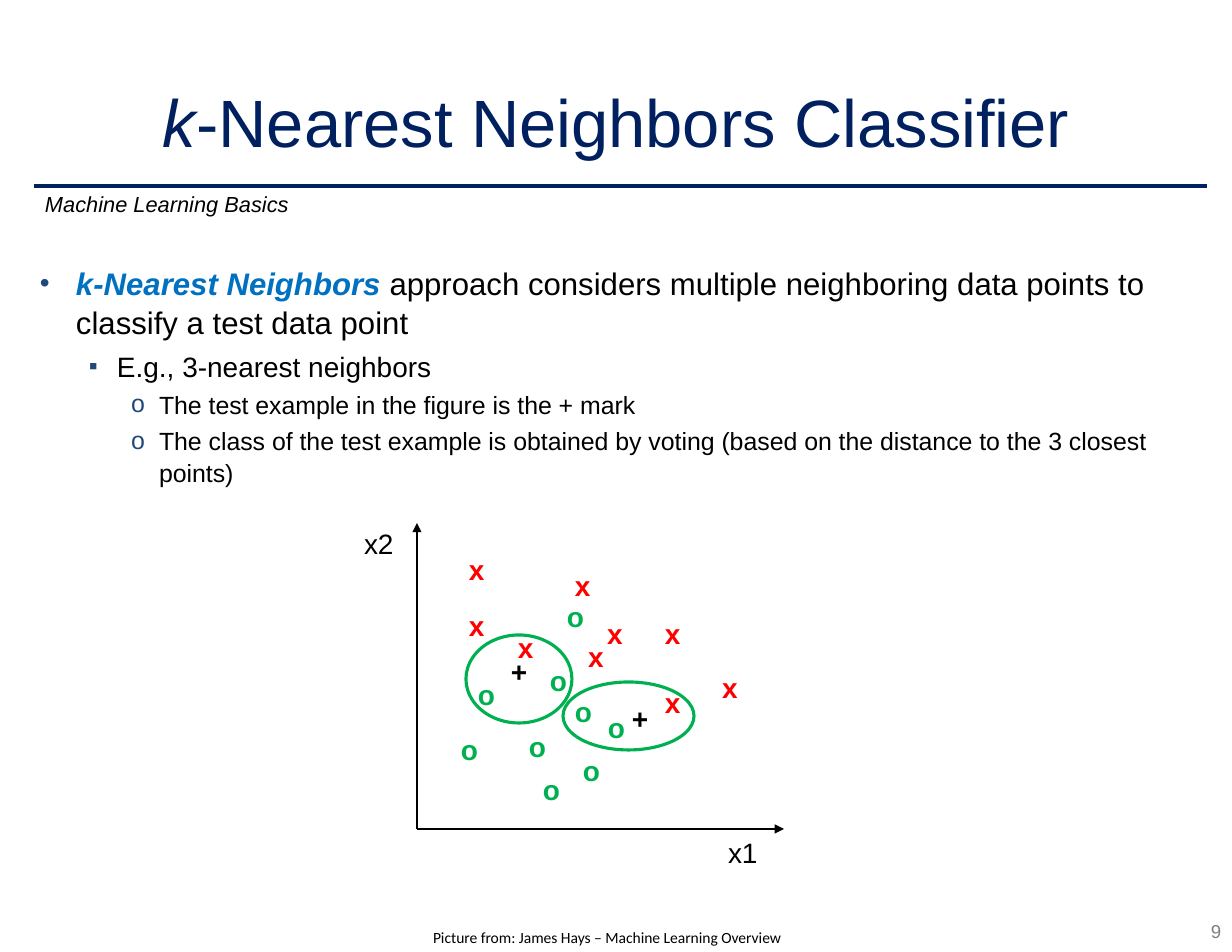
from typing import NamedTuple

from lxml.etree import SubElement
from pptx import Presentation
from pptx.dml.color import RGBColor
from pptx.enum.shapes import MSO_CONNECTOR as Conn, MSO_SHAPE as Shape
from pptx.enum.text import MSO_ANCHOR as Anchor, PP_ALIGN as Align
from pptx.oxml.ns import qn
from pptx.util import Emu, Pt

EMU_PER_PX = 914400 / 112
NAVY, RED, GREEN, BLUE, BLACK = "002060", "FF0000", "00B050", "0070C0", "000000"


class Box(NamedTuple):
    """A rectangle in px."""
    x: int
    y: int
    w: int
    h: int


class Mark(NamedTuple):
    """One class of data points, with the centres of its marks in px."""
    symbol: str
    color: str
    width: int
    centers: list[tuple[int, int]]


class Level(NamedTuple):
    """Format of one bullet level, with indents in px."""
    bullet: str
    bullet_pct: int
    left: int
    hang: int
    size: int
    before: int


MARKS = [
    Mark("x", RED, 28, [(615, 631), (673, 631), (673, 701), (730, 685), (477, 568),
                        (477, 623), (583, 584), (526, 646), (596, 655)]),
    Mark("o", GREEN, 30, [(576, 615), (617, 725), (470, 748), (487, 693), (552, 787),
                          (584, 709), (559, 678), (538, 745), (592, 768)]),
    Mark("+", BLACK, 29, [(519, 670), (640, 717)]),
]
NEIGHBORHOODS = [Box(466, 635, 106, 88), Box(563, 682, 131, 68)]
LEVELS = [Level("•", 90, 36, 36, 20, 4), Level("▪", 90, 77, 28, 18, 4),
          Level("o", 100, 119, 28, 16, 3)]
BULLETS = [
    (0, "k-Nearest Neighbors ",
     "approach considers multiple neighboring data points to classify a test data point"),
    (1, "", "E.g., 3-nearest neighbors"),
    (2, "", "The test example in the figure is the + mark"),
    (2, "", "The class of the test example is obtained by voting "
            "(based on the distance to the 3 closest points)"),
]


def px(n: float) -> Emu:
    """Turn px into EMU."""
    return Emu(round(n * EMU_PER_PX))


def rgb(color: str) -> RGBColor:
    """Turn a hex string into a colour."""
    return RGBColor.from_string(color)


def add_run(p, text: str, *, size: int = 18, color: str = BLACK, bold: bool = False,
            italic: bool = False, font: str = "Arial") -> None:
    """Append formatted text to a paragraph."""
    r = p.add_run()
    r.text = text
    r.font.name, r.font.size = font, Pt(size)
    r.font.bold, r.font.italic = bold, italic
    r.font.color.rgb = rgb(color)


def set_frame(s, wrap: bool = True, anchor: Anchor = Anchor.TOP):
    """Set the insets, wrapping and anchor of a shape's text frame."""
    tf = s.text_frame
    tf.margin_left = tf.margin_right = tf.margin_top = tf.margin_bottom = px(6)
    tf.word_wrap, tf.vertical_anchor = wrap, anchor
    return tf


def add_text(slide, box: Box, text: str, *, align: Align = Align.LEFT,
             wrap: bool = True, **fmt) -> None:
    """Add a one-paragraph text box."""
    p = set_frame(slide.shapes.add_textbox(*map(px, box)), wrap).paragraphs[0]
    p.alignment = align
    add_run(p, text, **fmt)


def add_line(slide, start: tuple[int, int], end: tuple[int, int], color: str,
             width: float, arrow: bool = False) -> None:
    """Add a straight line, with an arrowhead at its end if wanted."""
    s = slide.shapes.add_connector(Conn.STRAIGHT, *map(px, start + end))
    s.line.color.rgb, s.line.width = rgb(color), Pt(width)
    if arrow:
        SubElement(s.line._get_or_add_ln(), qn("a:tailEnd"), type="triangle")
    SubElement(s._element.spPr, qn("a:effectLst"))


def add_ellipse(slide, box: Box) -> None:
    """Add an unfilled ellipse around neighbouring points."""
    s = slide.shapes.add_shape(Shape.OVAL, *map(px, box))
    s.shadow.inherit = False
    s.fill.background()
    s.line.color.rgb, s.line.width = rgb(GREEN), Pt(2)


def set_bullet(p, level: Level) -> None:
    """Give a paragraph its indent and bullet."""
    pr = p._p.get_or_add_pPr()
    pr.set("marL", str(px(level.left)))
    pr.set("indent", str(-px(level.hang)))
    SubElement(SubElement(pr, qn("a:buClr")), qn("a:srgbClr"), val="1F497D")
    SubElement(pr, qn("a:buSzPct"), val=str(level.bullet_pct * 1000))
    SubElement(pr, qn("a:buFont"), typeface="Arial")
    SubElement(pr, qn("a:buChar"), char=level.bullet)


def add_title(slide) -> None:
    """Place and fill the title."""
    s = slide.shapes.title
    s.left, s.top, s.width, s.height = map(px, Box(0, 56, 1232, 129))
    p = set_frame(s, anchor=Anchor.MIDDLE).paragraphs[0]
    p.alignment = Align.CENTER
    add_run(p, "k", size=43, color=NAVY, italic=True)
    add_run(p, "-Nearest Neighbors Classifier", size=43, color=NAVY)


def add_bullets(slide, box: Box) -> None:
    """Add the bulleted text."""
    tf = set_frame(slide.shapes.add_textbox(*map(px, box)))
    for i, (depth, lead, text) in enumerate(BULLETS):
        p = tf.add_paragraph() if i else tf.paragraphs[0]
        level = LEVELS[depth]
        p.level = depth
        set_bullet(p, level)
        p.line_spacing = 1.06
        if i:
            p.space_before = Pt(level.before)
        if lead:
            add_run(p, lead, size=level.size, color=BLUE, bold=True, italic=True)
        add_run(p, text, size=level.size)


def add_plot(slide) -> None:
    """Draw the axes, the data points and the neighbourhoods."""
    origin = (417, 829)
    add_line(slide, origin, (417, 523), BLACK, 0.75, arrow=True)
    add_line(slide, origin, (784, 829), BLACK, 0.75, arrow=True)
    add_text(slide, Box(358, 520, 43, 42), "x2", wrap=False)
    add_text(slide, Box(722, 829, 43, 42), "x1", wrap=False)
    for mark in MARKS:
        for x, y in mark.centers:
            box = Box(x - mark.width // 2, y - 21, mark.width, 42)
            add_text(slide, box, mark.symbol, color=mark.color, bold=True, wrap=False)
    for box in NEIGHBORHOODS:
        add_ellipse(slide, box)


def main() -> None:
    """Build the slide and save it."""
    prs = Presentation()
    prs.slide_width, prs.slide_height = px(1232), px(952)
    slide = prs.slides.add_slide(prs.slide_layouts[5])
    add_line(slide, (34, 186), (1207, 186), NAVY, 2)
    add_title(slide)
    add_text(slide, Box(39, 185, 747, 43), "Machine Learning Basics", size=14, italic=True)
    add_bullets(slide, Box(34, 256, 1174, 657))
    add_plot(slide)
    add_text(slide, Box(189, 922, 836, 28), "Picture from: James Hays – Machine Learning Overview",
             align=Align.CENTER, size=10, font="Calibri")
    add_text(slide, Box(1205, 914, 22, 30), "9", align=Align.RIGHT, wrap=False,
             size=12, color="808080")
    prs.save("out.pptx")


if __name__ == "__main__":
    main()
